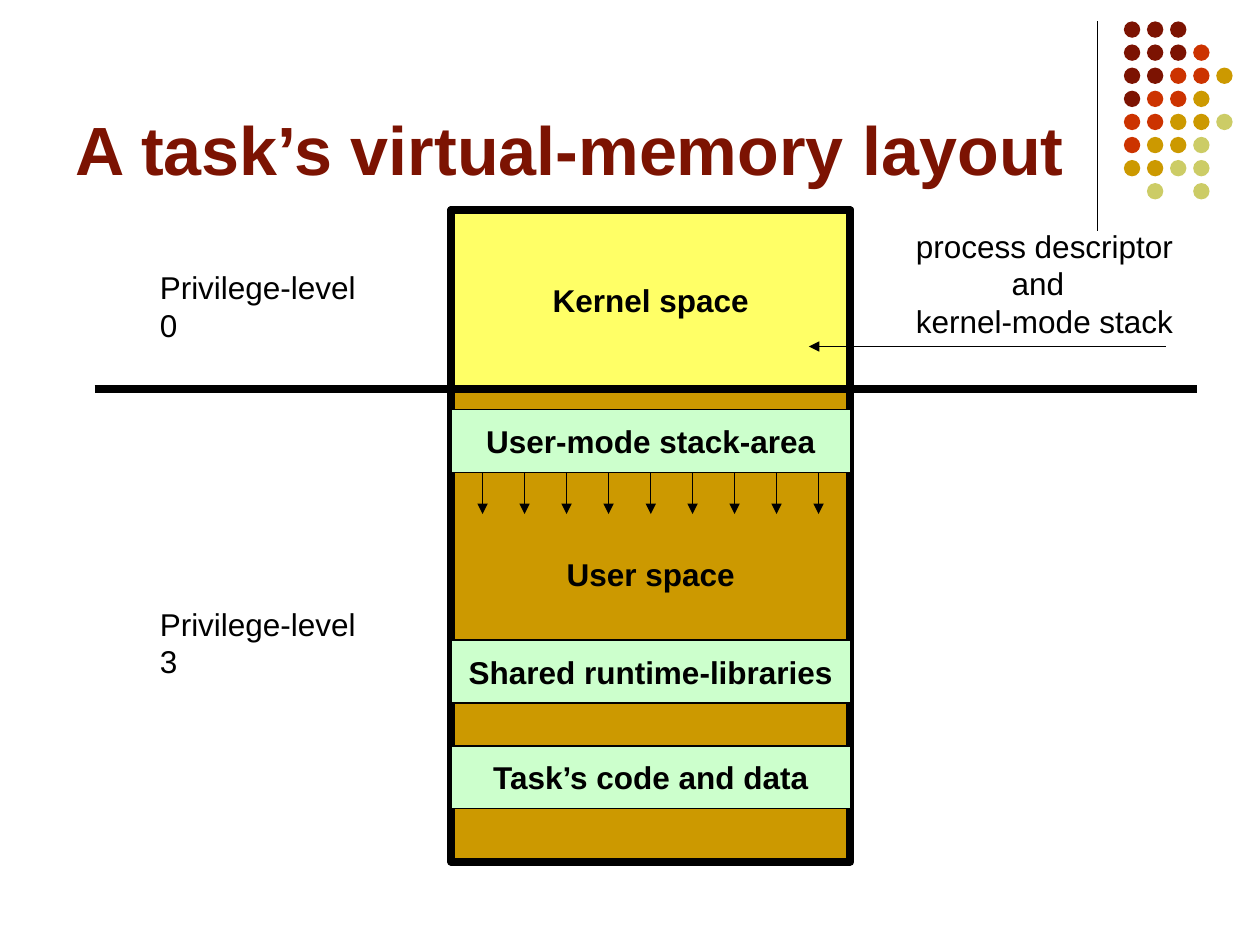
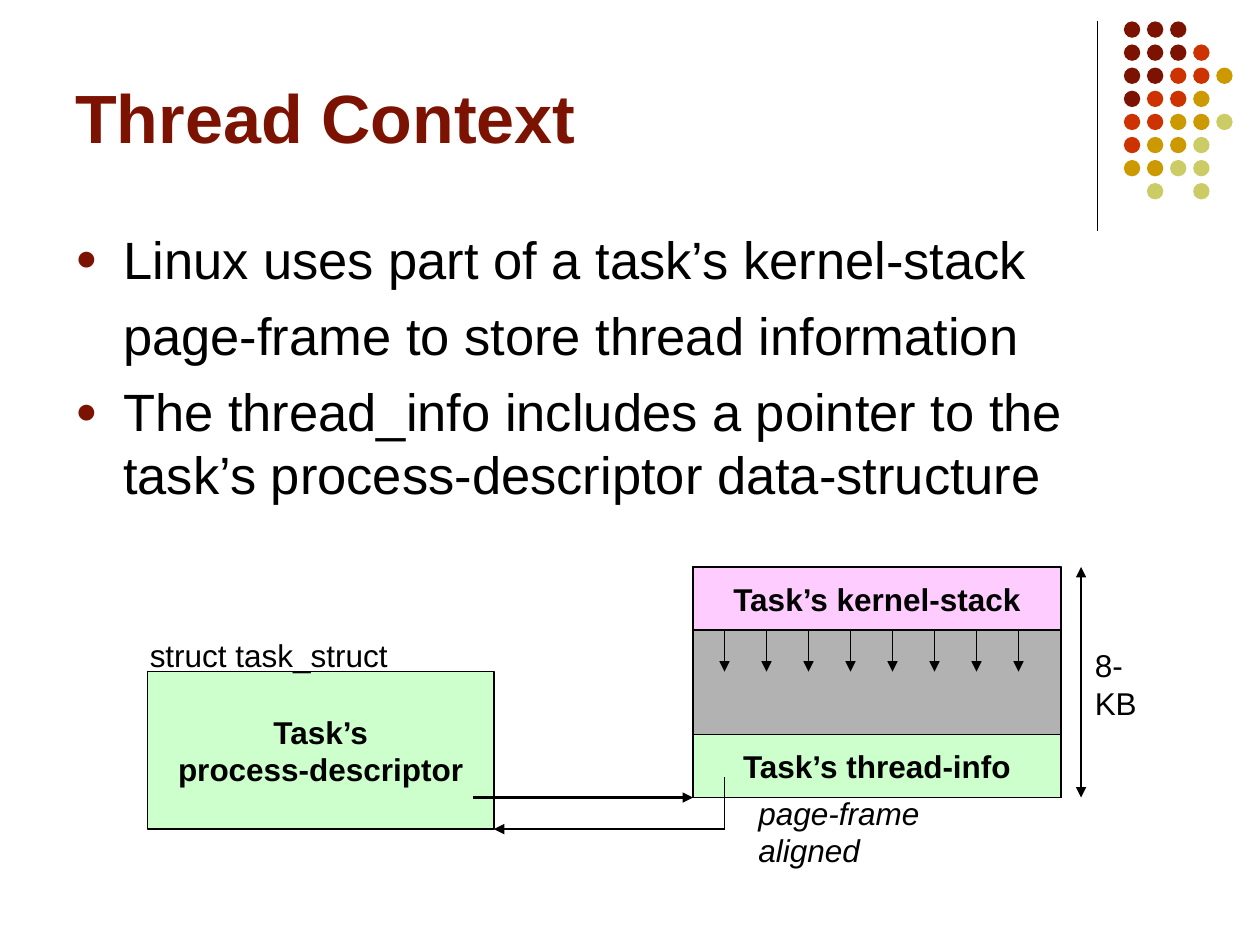
from lxml import etree
from pptx import Presentation
from pptx.dml.color import RGBColor
from pptx.enum.shapes import MSO_CONNECTOR, MSO_SHAPE
from pptx.enum.text import MSO_ANCHOR, PP_ALIGN
from pptx.oxml.ns import qn
from pptx.util import Inches, Pt

RECTANGLE, ELLIPSE = MSO_SHAPE.RECTANGLE, MSO_SHAPE.OVAL
STRAIGHT = MSO_CONNECTOR.STRAIGHT
TOP, MIDDLE, BOTTOM = MSO_ANCHOR.TOP, MSO_ANCHOR.MIDDLE, MSO_ANCHOR.BOTTOM
LEFT, CENTER = PP_ALIGN.LEFT, PP_ALIGN.CENTER

FONT = "Arial"
BLACK = RGBColor(0x00, 0x00, 0x00)
MAROON = RGBColor(0x7C, 0x13, 0x02)
RED = RGBColor(0xCC, 0x33, 0x00)
GOLD = RGBColor(0xCC, 0x99, 0x00)
OLIVE = RGBColor(0xCC, 0xCC, 0x66)
YELLOW = RGBColor(0xFF, 0xFF, 0x66)
MINT = RGBColor(0xCC, 0xFF, 0xCC)
PINK = RGBColor(0xFF, 0xCC, 0xFF)
GRAY = RGBColor(0xB2, 0xB2, 0xB2)

# Corner ornament: one letter per dot, a dot "." leaves a gap
DOT_ROWS = ["MMM", "MMMR", "MMRRG", "MRRG", "RRGGO", "RGGO", "GGOO", ".O.O"]
DOT_COLORS = {"M": MAROON, "R": RED, "G": GOLD, "O": OLIVE}
DOT_LEFT, DOT_TOP, DOT_SIZE, DOT_PITCH = 8.92, 0.17, 0.13, 1.1 / 6

# Memory layout content: top and label of each area in the column
COLUMN_LEFT, COLUMN_TOP, COLUMN_WIDTH, COLUMN_HEIGHT = 3.58, 1.67, 3.17, 5.17
KERNEL_HEIGHT = 1.42
BAND_HEIGHT = 0.5
STACK_TOP = 3.25
USER_AREAS = [(5.08, "Shared runtime-libraries"), (5.92, "Task’s code and data")]
PRIVILEGE_LABELS = [(2.08, "Privilege-level 0"), (4.75, "Privilege-level 3")]
KERNEL_CONTENTS = ["process descriptor", "and", "kernel-mode stack"]

# Thread context content: text and whether it has a bullet
CONTEXT_POINTS = [
    ("Linux uses part of a task’s kernel-stack", True),
    ("page-frame to store thread information", False),
    ("The thread_info includes a pointer to the task’s "
     "process-descriptor data-structure", True),
]
FRAME_LEFT, FRAME_TOP, FRAME_WIDTH, FRAME_BOTTOM = 5.5, 4.5, 2.92, 6.33
TASK_LEFT, TASK_TOP, TASK_WIDTH, TASK_HEIGHT = 1.17, 5.33, 2.75, 1.25

ARROW_INSET, ARROW_STEP, ARROW_LENGTH = 0.25, 1 / 3, 0.33


def write(shape, lines, size=18, color=BLACK, bold=False, italic=False,
          align=LEFT, anchor=TOP, wrap=False):
    frame = shape.text_frame
    frame.word_wrap = wrap
    frame.vertical_anchor = anchor
    for index, line in enumerate(lines):
        para = frame.paragraphs[0] if index == 0 else frame.add_paragraph()
        para.text = line
        para.alignment = align
        font = para.font
        font.name, font.size = FONT, Pt(size)
        font.bold, font.italic = bold, italic
        font.color.rgb = color
    return frame


def add_text(page, left, top, width, height, lines, **style):
    box = page.shapes.add_textbox(Inches(left), Inches(top), Inches(width), Inches(height))
    return write(box, lines, **style)


def add_box(page, left, top, width, height, fill, lines=(), line_width=0.75):
    box = page.shapes.add_shape(RECTANGLE, Inches(left), Inches(top),
                                Inches(width), Inches(height))
    box.shadow.inherit = False
    box.fill.solid()
    box.fill.fore_color.rgb = fill
    box.line.color.rgb = BLACK
    box.line.width = Pt(line_width)
    write(box, lines, bold=True, align=CENTER, anchor=MIDDLE)
    return box


def add_line(page, x1, y1, x2, y2, width=0.75, ends=()):
    line = page.shapes.add_connector(STRAIGHT, Inches(x1), Inches(y1),
                                     Inches(x2), Inches(y2))
    line.line.color.rgb = BLACK
    line.line.width = Pt(width)
    outline = line.line._get_or_add_ln()
    for end in ends:
        etree.SubElement(outline, qn(f"a:{end}"), type="triangle")
    etree.SubElement(line._element.spPr, qn("a:effectLst"))
    return line


def add_growth_arrows(page, box, left, width, top, count):
    """Row of arrows hanging from the bottom of a stack box."""
    middle = left + width / 2
    for index in range(count):
        x = left + ARROW_INSET + index * ARROW_STEP
        at_middle = abs(x - middle) < 0.01
        if at_middle:
            x = middle
        arrow = add_line(page, x, top, x, top + ARROW_LENGTH, ends=["tailEnd"])
        if at_middle:
            arrow.begin_connect(box, 2)


def add_page(deck, title, left, top, width, height, anchor):
    page = deck.slides.add_slide(deck.slide_layouts[6])
    add_line(page, 8.71, 0.17, 8.71, 1.83)
    dots = page.shapes.add_group_shape()
    for row, letters in enumerate(DOT_ROWS):
        for column, letter in enumerate(letters):
            if letter == ".":
                continue
            dot = dots.shapes.add_shape(
                ELLIPSE, Inches(DOT_LEFT + column * DOT_PITCH),
                Inches(DOT_TOP + row * DOT_PITCH), Inches(DOT_SIZE), Inches(DOT_SIZE))
            dot.shadow.inherit = False
            dot.fill.solid()
            dot.fill.fore_color.rgb = DOT_COLORS[letter]
            dot.line.fill.background()
    add_text(page, left, top, width, height, [title], size=39, color=MAROON,
             bold=True, anchor=anchor, wrap=True)
    return page


def set_indent(para, left, bullet=False):
    props = para._p.get_or_add_pPr()
    props.set("marL", str(Inches(left)))
    props.set("indent", str(-Inches(left) if bullet else 0))
    if bullet:
        color = etree.SubElement(props, qn("a:buClr"))
        etree.SubElement(color, qn("a:srgbClr"), val=str(MAROON))
        etree.SubElement(props, qn("a:buSzPct"), val="70000")
        etree.SubElement(props, qn("a:buFont"), typeface=FONT)
        etree.SubElement(props, qn("a:buChar"), char="●")


def build_memory_layout(deck):
    page = add_page(deck, "A task’s virtual-memory layout", 0.5, 0.13, 8.25, 1.42, BOTTOM)

    # Column of kernel space over user space
    user = add_box(page, COLUMN_LEFT, COLUMN_TOP, COLUMN_WIDTH, COLUMN_HEIGHT,
                   GOLD, ["User space"], 4.5)
    user.text_frame.margin_top = Inches(0.65)
    add_box(page, COLUMN_LEFT, COLUMN_TOP, COLUMN_WIDTH, KERNEL_HEIGHT,
            YELLOW, ["Kernel space"], 4.5)
    stack = add_box(page, COLUMN_LEFT, STACK_TOP, COLUMN_WIDTH, BAND_HEIGHT,
                    MINT, ["User-mode stack-area"])
    add_growth_arrows(page, stack, COLUMN_LEFT, COLUMN_WIDTH, STACK_TOP + BAND_HEIGHT, 9)
    for top, label in USER_AREAS:
        add_box(page, COLUMN_LEFT, top, COLUMN_WIDTH, BAND_HEIGHT, MINT, [label])

    # Privilege boundary and side labels
    boundary = COLUMN_TOP + KERNEL_HEIGHT
    add_line(page, 0.75, boundary, 9.5, boundary, width=4.5)
    for top, label in PRIVILEGE_LABELS:
        add_text(page, 1.17, top, 1.96, 0.4, [label])
    contents = add_text(page, 7.17, 1.75, 2.24, 1, KERNEL_CONTENTS)
    set_indent(contents.paragraphs[1], 0.76)
    add_line(page, 9.25, 2.75, 6.42, 2.75, ends=["tailEnd"])


def build_thread_context(deck):
    page = add_page(deck, "Thread Context", 0.5, 0.3, 9, 1.25, MIDDLE)

    # Bulleted points
    points = add_text(page, 0.5, 1.75, 9, 2.6, [text for text, _ in CONTEXT_POINTS],
                      size=30, wrap=True)
    for index, (_, bullet) in enumerate(CONTEXT_POINTS):
        para = points.paragraphs[index]
        set_indent(para, 0.38, bullet)
        if index:
            para.space_before = Pt(7.5)

    # Page frame with the stack on top and thread-info at the bottom
    add_box(page, FRAME_LEFT, FRAME_TOP, FRAME_WIDTH, FRAME_BOTTOM - FRAME_TOP, GRAY)
    stack = add_box(page, FRAME_LEFT, FRAME_TOP, FRAME_WIDTH, BAND_HEIGHT,
                    PINK, ["Task’s kernel-stack"])
    add_box(page, FRAME_LEFT, FRAME_BOTTOM - BAND_HEIGHT, FRAME_WIDTH, BAND_HEIGHT,
            MINT, ["Task’s thread-info"])
    add_growth_arrows(page, stack, FRAME_LEFT, FRAME_WIDTH, FRAME_TOP + BAND_HEIGHT, 8)
    add_text(page, 5.92, 6.25, 2.35, 0.4, ["page-frame aligned"], italic=True)

    # Size marker
    add_line(page, 8.58, FRAME_TOP, 8.58, FRAME_BOTTOM, ends=["headEnd", "tailEnd"])
    add_text(page, 8.59, 5.08, 0.75, 0.4, ["8-KB"])

    # Process descriptor
    add_box(page, TASK_LEFT, TASK_TOP, TASK_WIDTH, TASK_HEIGHT,
            MINT, ["Task’s", "process-descriptor"])
    add_text(page, 1.09, 5, 2.09, 0.4, ["struct task_struct"])

    # Pointers between the two structures
    task_right, task_bottom = TASK_LEFT + TASK_WIDTH, TASK_TOP + TASK_HEIGHT
    pointer_x = FRAME_LEFT + ARROW_INSET
    add_line(page, 3.75, FRAME_BOTTOM, FRAME_LEFT, FRAME_BOTTOM, width=1.5, ends=["tailEnd"])
    add_line(page, pointer_x, task_bottom, task_right, task_bottom, ends=["tailEnd"])
    add_line(page, pointer_x, task_bottom, pointer_x, 6.17)


def main():
    deck = Presentation()
    deck.slide_width, deck.slide_height = Inches(10), Inches(7.5)
    build_memory_layout(deck)
    build_thread_context(deck)
    deck.save("out.pptx")


if __name__ == "__main__":
    main()
